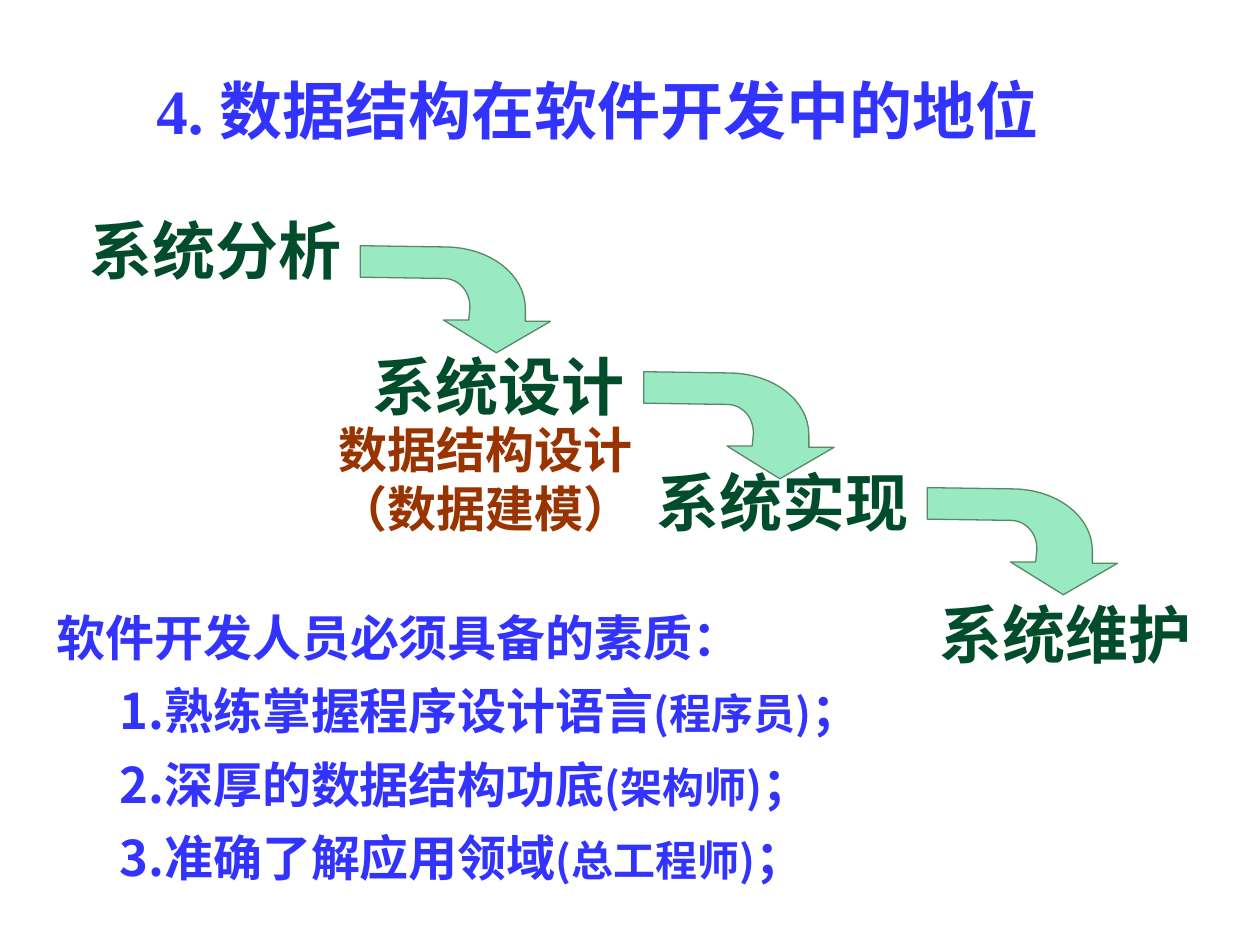
from dataclasses import dataclass

from pptx import Presentation
from pptx.dml.color import RGBColor
from pptx.enum.text import MSO_ANCHOR, PP_ALIGN
from pptx.util import Inches, Pt

LEFT, CENTER = PP_ALIGN.LEFT, PP_ALIGN.CENTER
TOP = MSO_ANCHOR.TOP
TITLE_ONLY = 5


@dataclass(frozen=True)
class Theme:
    serif: str = "Times New Roman"
    sans: str = "Noto Sans CJK SC"
    blue: RGBColor = RGBColor(0x33, 0x33, 0xFF)
    green: RGBColor = RGBColor(0x00, 0x4C, 0x2B)
    brown: RGBColor = RGBColor(0x99, 0x33, 0x00)
    arrow_fill: RGBColor = RGBColor(0x99, 0xE9, 0xC3)
    arrow_line: RGBColor = RGBColor(0x57, 0x89, 0x63)
    heading: Pt = Pt(36)
    body: Pt = Pt(28)
    role: Pt = Pt(24)


THEME = Theme()
HEADING = {"name": THEME.serif, "size": THEME.heading, "bold": True}
TITLE = {**HEADING, "color": THEME.blue}
STAGE = {**HEADING, "color": THEME.green}
NOTE = {**HEADING, "size": THEME.body, "color": THEME.brown}
BODY = {"name": THEME.sans, "size": THEME.body, "bold": True, "color": THEME.blue}
ROLE = {**BODY, "size": THEME.role}

# Label, label top, top of the arrow leading to the next stage
STAGES = [
    ("系统分析", 1.63, 1.95),
    ("系统设计", 2.71, 2.95),
    ("系统实现", 3.63, 3.87),
    ("系统维护", 4.68, None),
]
STAGE_LEFT, STAGE_STEP, STAGE_HEIGHT = 0.61, 2.25, 0.7
ARROW_SIZE = (1.51, 0.85)

SKILLS = [
    ("1.熟练掌握程序设计语言", "(程序员)"),
    ("2.深厚的数据结构功底", "(架构师)"),
    ("3.准确了解应用领域", "(总工程师)"),
]


def add_text(paragraph, text, style):
    """Append text in one style, breaking the line at each newline."""
    for index, line in enumerate(text.split("\n")):
        if index:
            paragraph.add_line_break()
        run = paragraph.add_run()
        run.text = line
        for name, value in style.items():
            if name == "color":
                run.font.color.rgb = value
            else:
                setattr(run.font, name, value)


def add_text_box(slide, box):
    frame = slide.shapes.add_textbox(*map(Inches, box)).text_frame
    frame.word_wrap = True
    return frame


def place_title(slide, box):
    title = slide.shapes.title
    for name, value in zip(("left", "top", "width", "height"), box):
        setattr(title, name, Inches(value))
    frame = title.text_frame
    frame.vertical_anchor = TOP
    frame.paragraphs[0].alignment = LEFT
    add_text(frame.paragraphs[0], "4. 数据结构在软件开发中的地位", TITLE)


def bezier(start, control_1, control_2, end, steps=16):
    """Points along a cubic curve, without its start."""
    points = []
    for step in range(1, steps + 1):
        t = step / steps
        weights = ((1 - t) ** 3, 3 * t * (1 - t) ** 2, 3 * t * t * (1 - t), t ** 3)
        points.append(tuple(
            sum(w * value for w, value in zip(weights, axis))
            for axis in zip(start, control_1, control_2, end)
        ))
    return points


def add_bent_arrow(slide, box):
    """Arrow running right, then bending down to its head."""
    left, top, width, height = box
    outline = [
        (1.08, 0.85), (1.51, 0.6), (1.31, 0.6), (1.31, 0.5),
        *bezier((1.31, 0.5), (1.31, 0.23), (1.03, 0.01), (0.67, 0.01)),
        (0, 0), (0, 0.25), (0.66, 0.26),
        *bezier((0.66, 0.26), (0.78, 0.26), (0.87, 0.36), (0.87, 0.49)),
        (0.86, 0.59), (0.66, 0.59),
    ]
    scale_x, scale_y = width / ARROW_SIZE[0], height / ARROW_SIZE[1]
    points = [
        (Inches(left + x * scale_x), Inches(top + y * scale_y)) for x, y in outline
    ]
    builder = slide.shapes.build_freeform(*points[0])
    builder.add_line_segments(points[1:], close=True)
    arrow = builder.convert_to_shape()
    arrow.shadow.inherit = False
    arrow.fill.solid()
    arrow.fill.fore_color.rgb = THEME.arrow_fill
    arrow.line.color.rgb = THEME.arrow_line
    arrow.line.width = Pt(0.75)


def add_stages(slide, left, step):
    for index, (label, label_top, arrow_top) in enumerate(STAGES):
        stage_left = left + index * step
        frame = add_text_box(slide, (stage_left, label_top, 2.5, STAGE_HEIGHT))
        add_text(frame.paragraphs[0], label, STAGE)
        if arrow_top is not None:
            add_bent_arrow(slide, (stage_left + step, arrow_top, *ARROW_SIZE))


def add_design_note(slide, box):
    paragraph = add_text_box(slide, box).paragraphs[0]
    paragraph.alignment = CENTER
    add_text(paragraph, "数据结构设计\n（数据建模）", NOTE)


def add_skills(slide, box):
    frame = add_text_box(slide, box)
    add_text(frame.paragraphs[0], "软件开发人员必须具备的素质：", BODY)
    for skill, role in SKILLS:
        paragraph = frame.add_paragraph()
        paragraph.level = 1
        paragraph.space_before = Pt(8.4)
        for text, style in ((skill, BODY), (role, ROLE), ("；", BODY)):
            add_text(paragraph, text, style)


def main():
    deck = Presentation()
    deck.slide_width, deck.slide_height = Inches(10), Inches(7.5)
    slide = deck.slides.add_slide(deck.slide_layouts[TITLE_ONLY])
    place_title(slide, (1.14, 0.52, 7.72, 0.7))
    add_stages(slide, STAGE_LEFT, STAGE_STEP)
    add_design_note(slide, (2.32, 3.28, 3.07, 1.04))
    add_skills(slide, (0.35, 4.77, 7.48, 3.02))
    deck.save("out.pptx")


if __name__ == "__main__":
    main()
